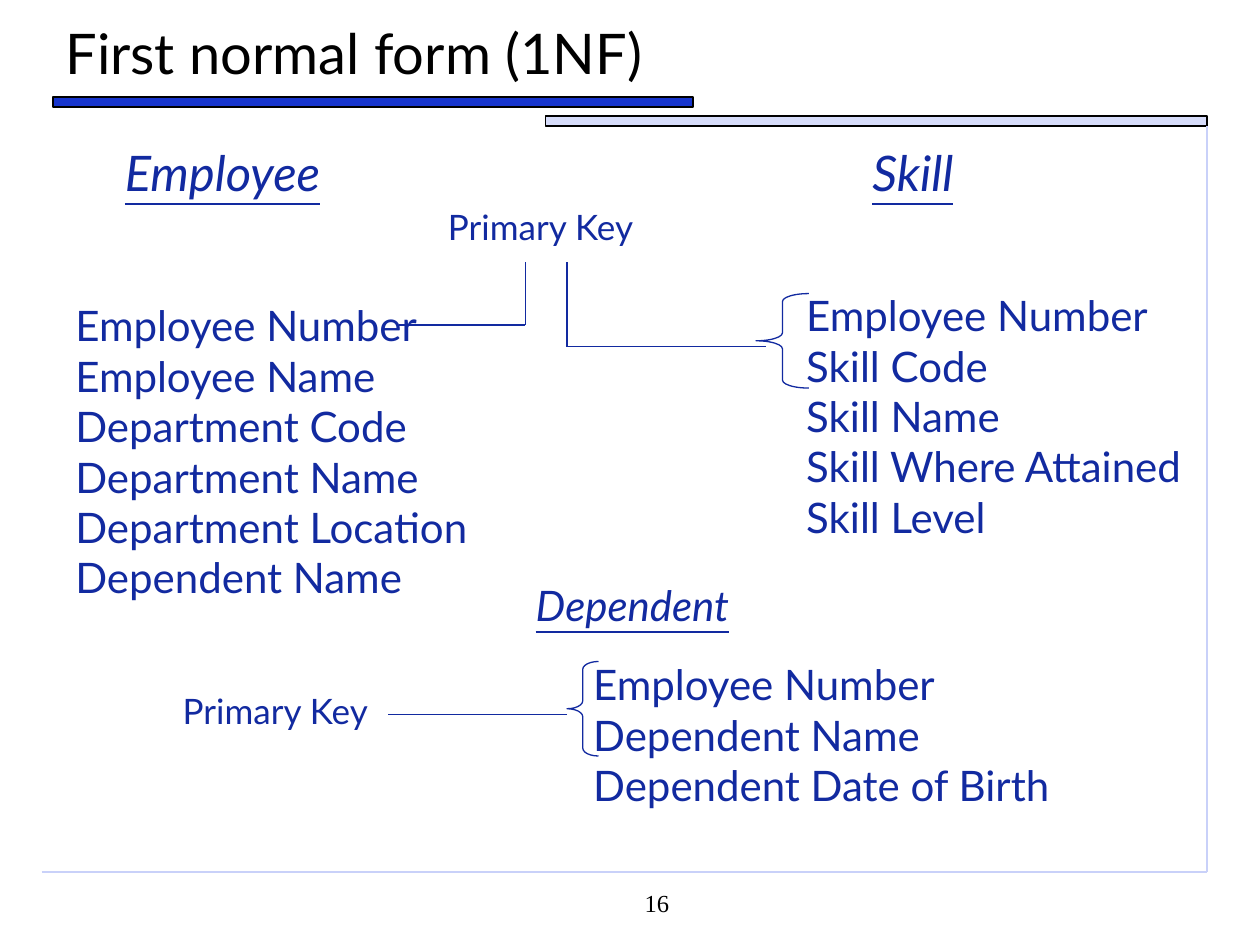
from lxml import etree
from pptx import Presentation
from pptx.dml.color import RGBColor
from pptx.enum.shapes import MSO_CONNECTOR, MSO_SHAPE
from pptx.enum.text import MSO_ANCHOR, MSO_AUTO_SIZE, PP_ALIGN
from pptx.oxml.ns import qn
from pptx.util import Inches, Pt

COLORS = {
    "black": "000000",
    "ink": "122AA0",
    "bar": "1735CD",
    "pale_bar": "D6DCFA",
    "frame": "C9D1F9",
}


def write_text(shape, text, size, color="ink", font="Lato", align=PP_ALIGN.LEFT,
               anchor=MSO_ANCHOR.MIDDLE, wrap=False, heading=False):
    text_frame = shape.text_frame
    text_frame.text = text
    text_frame.word_wrap = wrap
    text_frame.auto_size = MSO_AUTO_SIZE.NONE
    text_frame.vertical_anchor = anchor
    for paragraph in text_frame.paragraphs:
        paragraph.alignment = align
        for run in paragraph.runs:
            run.font.name = font
            run.font.size = Pt(size)
            run.font.color.rgb = RGBColor.from_string(COLORS[color])
            if heading:
                run.font.italic = True
                run.font.underline = True


def add_line(x1, y1, x2, y2, color="ink"):
    line = slide.shapes.add_connector(
        MSO_CONNECTOR.STRAIGHT, Inches(x1), Inches(y1), Inches(x2), Inches(y2))
    line.line.color.rgb = RGBColor.from_string(COLORS[color])
    line.line.width = Pt(0.75)
    etree.SubElement(line._element.spPr, qn("a:effectLst"))


presentation = Presentation()
presentation.slide_width = Inches(10)
presentation.slide_height = Inches(7.5)
slide = presentation.slides.add_slide(presentation.slide_layouts[5])

for left, top, width, color in [(0.42, 0.77, 5.08, "bar"), (4.33, 0.92, 5.25, "pale_bar")]:
    bar = slide.shapes.add_shape(
        MSO_SHAPE.RECTANGLE, Inches(left), Inches(top), Inches(width), Inches(0.08))
    bar.shadow.inherit = False
    bar.fill.solid()
    bar.fill.fore_color.rgb = RGBColor.from_string(COLORS[color])
    bar.line.color.rgb = RGBColor.from_string(COLORS["black"])
    bar.line.width = Pt(0.75)

add_line(9.58, 1, 9.58, 6.92, "frame")
add_line(0.33, 6.92, 9.58, 6.92, "frame")

page_number = slide.shapes.add_textbox(Inches(3.33), Inches(7), Inches(2.08), Inches(0.5))
write_text(page_number, "16", 14, "black", "Times New Roman", PP_ALIGN.RIGHT,
           MSO_ANCHOR.TOP, wrap=True)

title = slide.shapes.title
title.left, title.top, title.width, title.height = (
    Inches(0.42), Inches(0), Inches(9.33), Inches(0.83))
write_text(title, "First normal form (1NF)", 32, "black", wrap=True)
title.text_frame.paragraphs[0].space_before = Pt(8)

entity_headings = [
    ("Employee", 0.84, 1.08, 1.85, 0.57, 28),
    ("Skill", 6.8, 1.08, 0.89, 0.57, 28),
    ("Dependent", 4.12, 4.55, 1.8, 0.5, 24),
]
for text, left, top, width, height, size in entity_headings:
    heading = slide.shapes.add_textbox(
        Inches(left), Inches(top), Inches(width), Inches(height))
    write_text(heading, text, size, align=PP_ALIGN.CENTER, heading=True)

attribute_lists = [
    ("Employee Number\nEmployee Name\nDepartment Code\nDepartment Name\n"
     "Department Location\nDependent Name", 0.5, 2.13, 3.33, 2.9, True),
    ("Employee Number\nSkill Code\vSkill Name\nSkill Where Attained\nSkill Level",
     6.3, 2.25, 3.35, 2.1, False),
    ("Employee Number\nDependent Name\vDependent Date of Birth",
     4.61, 5.18, 4.03, 1.3, False),
]
for text, left, top, width, height, wrap in attribute_lists:
    attributes = slide.shapes.add_textbox(
        Inches(left), Inches(top), Inches(width), Inches(height))
    write_text(attributes, text, 24, wrap=wrap)

for left, top, width in [(3.25, 1.58, 2.08), (1.3, 5.42, 1.77)]:
    key_label = slide.shapes.add_textbox(
        Inches(left), Inches(top), Inches(width), Inches(0.44))
    write_text(key_label, "Primary Key", 20, align=PP_ALIGN.CENTER)

for left, top, width, curve in [(4.5, 5.25, 0.25, 0.25), (6, 2.33, 0.42, 0.15)]:
    brace = slide.shapes.add_shape(
        MSO_SHAPE.LEFT_BRACE, Inches(left), Inches(top), Inches(width), Inches(0.75))
    brace.shadow.inherit = False
    brace.adjustments[0] = curve
    brace.adjustments[1] = 0.5
    brace.fill.background()
    brace.line.color.rgb = RGBColor.from_string(COLORS["ink"])
    brace.line.width = Pt(0.75)

key_lines = [
    (3.17, 2.58, 4.17, 2.58),
    (4.17, 2.58, 4.17, 2.08),
    (4.5, 2.08, 4.5, 2.75),
    (4.5, 2.75, 6.08, 2.75),
    (4.5, 5.67, 3.08, 5.67),
]
for ends in key_lines:
    add_line(*ends)

presentation.save("out.pptx")
